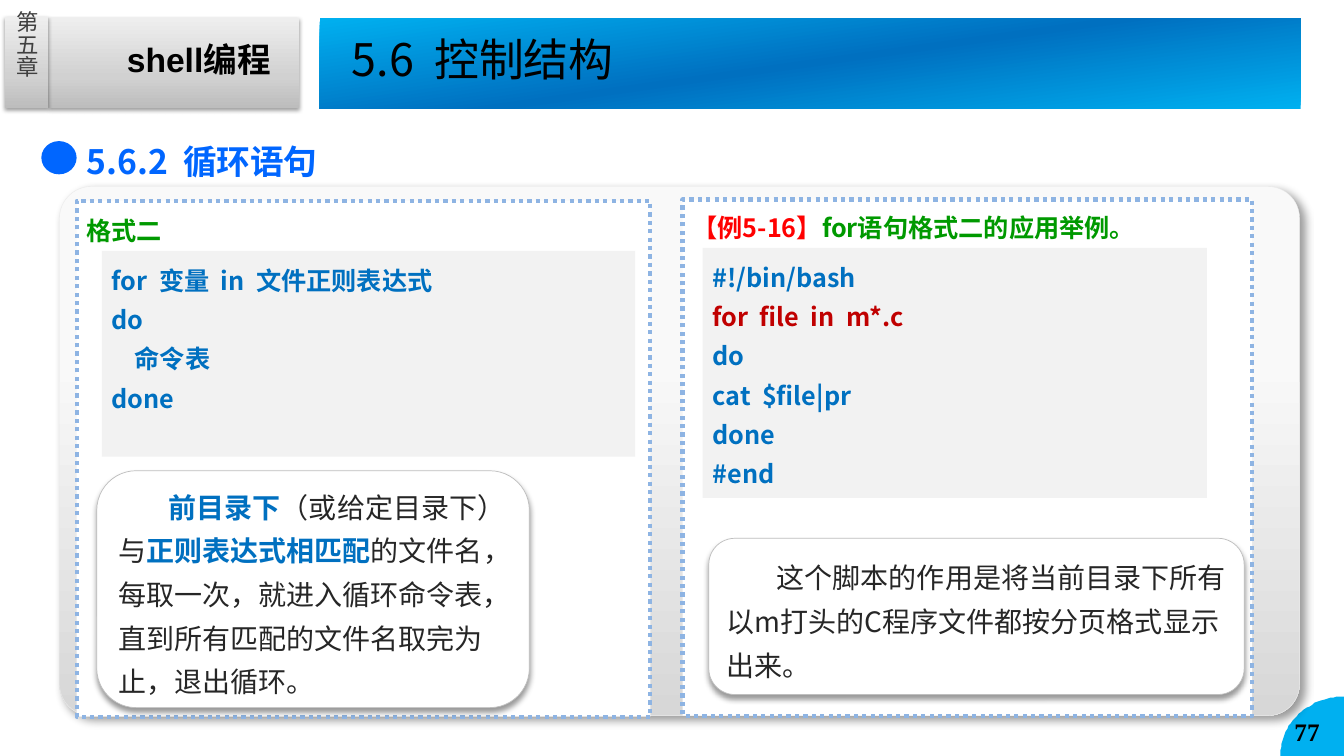
import math
from dataclasses import dataclass

import lxml.etree
import pptx
import pptx.dml.color
import pptx.enum.dml
import pptx.enum.shapes
import pptx.enum.text
import pptx.oxml.ns
import pptx.util

PX = 9144  # 100 px to the inch
WIDTH, HEIGHT = 1333, 750
SHAPE = pptx.enum.shapes.MSO_SHAPE
ANCHOR = pptx.enum.text.MSO_ANCHOR
ALIGN = pptx.enum.text.PP_ALIGN
qn = pptx.oxml.ns.qn


@dataclass(frozen=True)
class Theme:
    sans: str = "Noto Sans CJK SC"
    latin: str = "Arial"
    serif: str = "Times New Roman"
    title_size: int = 32
    heading_size: int = 24
    note_size: int = 20
    code_size: int = 18
    chapter_size: int = 16
    black: str = "000000"
    white: str = "FFFFFF"
    chapter: str = "404040"
    note: str = "262626"
    heading: str = "0066FF"
    code: str = "0070C0"
    code_back: str = "F2F2F2"
    hot_code: str = "C00000"
    example: str = "FF0000"
    caption: str = "009900"
    corner: str = "00B0F0"
    panel_line: str = "8EB4E3"
    note_line: str = "BFBFBF"
    card_line: str = "EAEAEA"
    tab_stops: tuple = ((0, "BDBDBD"), (35, "D1D1D1"), (100, "EEEEEE"))
    banner_stops: tuple = ((0, "00B0F0"), (50, "0070C0"), (100, "00B0F0"))
    card_stops: tuple = ((33, "F9F9F9"), (100, "D7D7D7"))
    # opacity %, blur pt, distance pt, direction
    tab_shadow: tuple = (38, 3.1, 1.6, 90)
    card_shadow: tuple = (40, 6, 5, 45)
    note_shadow: tuple = (40, 4, 3, 90)


THEME = Theme()


def rgb(colour):
    return pptx.dml.color.RGBColor.from_string(colour)


def emu(box):
    return [round(length * PX) for length in box]


def within(box, left, top, width, height):
    return box[0] + left, box[1] + top, width, height


def add_gradient(shape, stops, angle):
    gradient = lxml.etree.Element(qn("a:gradFill"), rotWithShape="1")
    stop_list = lxml.etree.SubElement(gradient, qn("a:gsLst"))
    for position, colour in stops:
        stop = lxml.etree.SubElement(stop_list, qn("a:gs"), pos=str(position * 1000))
        lxml.etree.SubElement(stop, qn("a:srgbClr"), val=colour)
    lxml.etree.SubElement(gradient, qn("a:lin"), ang=str(angle * 60000), scaled="0")
    shape.element.spPr.find(qn("a:prstGeom")).addnext(gradient)


def add_shadow(shape, opacity, blur, distance, direction):
    effects = shape.element.spPr.find(qn("a:effectLst"))
    shadow = lxml.etree.SubElement(
        effects, qn("a:outerShdw"), blurRad=str(round(blur * 12700)),
        dist=str(round(distance * 12700)), dir=str(direction * 60000),
        algn="t" if direction == 90 else "tl", rotWithShape="0")
    colour = lxml.etree.SubElement(shadow, qn("a:srgbClr"), val=THEME.black)
    lxml.etree.SubElement(colour, qn("a:alpha"), val=str(opacity * 1000))


def paint(shape, fill=None, line=None, weight=1, shadow=None):
    shape.shadow.inherit = False
    if fill:
        shape.fill.solid()
        shape.fill.fore_color.rgb = rgb(fill)
    if line:
        shape.line.color.rgb = rgb(line)
        shape.line.width = pptx.util.Pt(weight)
    else:
        shape.line.fill.background()
    if shadow:
        add_shadow(shape, *shadow)
    return shape


def add_block(slide, kind, box, **look):
    return paint(slide.shapes.add_shape(kind, *emu(box)), **look)


def write(paragraph, pieces, size, spacing=None, font=THEME.sans, align=ALIGN.LEFT):
    """Fill a paragraph with (text, colour, bold) pieces."""
    paragraph.alignment = align
    paragraph.line_spacing = spacing
    paragraph.font.size = pptx.util.Pt(size)
    paragraph.font.name = font
    agree = len({piece[1:] for piece in pieces}) == 1
    for text, colour, bold in pieces:
        run = paragraph.add_run()
        run.text = text
        target = paragraph.font if agree else run.font
        target.color.rgb = rgb(colour)
        target.bold = bold


def add_text(slide, box, pieces, size, **layout):
    frame = slide.shapes.add_textbox(*emu(box)).text_frame
    frame.word_wrap = True
    write(frame.paragraphs[0], pieces, size, **layout)
    return frame


def clear_margins(frame):
    frame.margin_left = frame.margin_top = frame.margin_right = frame.margin_bottom = 0


def chapter_tab(slide, box):
    for part in (within(box, 43, 1, 249, 89), within(box, 0, 0, 43, 90)):
        tab = add_block(slide, SHAPE.RECTANGLE, part, shadow=THEME.tab_shadow)
        add_gradient(tab, THEME.tab_stops, 270)
    add_text(slide, within(box, 111, 17, 201, 53), [("shell编程", THEME.black, True)],
             THEME.heading_size, font=THEME.latin)
    number = add_text(slide, within(box, 7, -6, 29, 105), [("第五章", THEME.chapter, False)],
                      THEME.chapter_size, align=ALIGN.CENTER)
    clear_margins(number)
    number.vertical_anchor = ANCHOR.MIDDLE
    number._txBody.bodyPr.set("vert", "eaVert")


def title_banner(slide, box):
    banner = add_block(slide, SHAPE.RECTANGLE, box)
    add_gradient(banner, THEME.banner_stops, 262)
    title = slide.shapes.title
    title.left, title.top, title.width, title.height = emu(within(box, 32, 13, 421, 69))
    frame = title.text_frame
    clear_margins(frame)
    frame.auto_size = pptx.enum.text.MSO_AUTO_SIZE.NONE
    frame.vertical_anchor = ANCHOR.TOP
    write(frame.paragraphs[0], [("5.6  控制结构", THEME.black, False)], THEME.title_size)
    banner.element.addnext(title.element)


def page_corner(slide, box):
    left, top, width, height = box
    right, bottom = left + width, top + height
    arc = [(right - width * math.cos(turn), bottom - height * math.sin(turn))
           for turn in (math.radians(degree) for degree in range(0, 91, 3))]
    outline = slide.shapes.build_freeform(right, bottom, scale=PX)
    outline.add_line_segments(arc)
    paint(outline.convert_to_shape(), fill=THEME.corner)
    add_text(slide, within(box, 4, 15, 59, 40), [("77", THEME.black, True)],
             THEME.code_size, font=THEME.serif)


def section_heading(slide, box):
    add_text(slide, within(box, 35, 0, 385, 58), [("5.6.2  循环语句", THEME.heading, True)],
             THEME.heading_size, spacing=1.2)
    add_block(slide, SHAPE.OVAL, within(box, 0, 13, 35, 33), fill=THEME.heading)


def background_card(slide, box):
    card = add_block(slide, SHAPE.ROUNDED_RECTANGLE, box, line=THEME.card_line,
                     weight=0.25, shadow=THEME.card_shadow)
    card.adjustments[0] = 0.06
    add_gradient(card, THEME.card_stops, 90)


def code_panel(slide, box, caption, caption_box, code, code_box, note, note_box):
    """Dotted panel with a caption, a code block and a rounded note."""
    border = add_block(slide, SHAPE.RECTANGLE, box, fill=THEME.white,
                       line=THEME.panel_line, weight=3)
    border.line.dash_style = pptx.enum.dml.MSO_LINE.ROUND_DOT
    add_text(slide, within(box, *caption_box), caption, THEME.code_size, spacing=1.2)

    listing = add_block(slide, SHAPE.RECTANGLE, within(box, *code_box),
                        fill=THEME.code_back).text_frame
    listing.vertical_anchor = ANCHOR.TOP
    for index, (text, colour) in enumerate(code):
        line = listing.add_paragraph() if index else listing.paragraphs[0]
        write(line, [(text, colour, True)], THEME.code_size, spacing=1.3)

    remark = add_block(slide, SHAPE.ROUNDED_RECTANGLE, within(box, *note_box),
                       fill=THEME.white, line=THEME.note_line, weight=0.5,
                       shadow=THEME.note_shadow).text_frame
    remark.vertical_anchor = ANCHOR.MIDDLE
    paragraph = remark.paragraphs[0]
    paragraph._p.get_or_add_pPr().set("indent", str(50 * PX))
    write(paragraph, note, THEME.note_size, spacing=1.3)


def loop_slide(slide):
    chapter_tab(slide, (5, 17, 292, 90))
    page_corner(slide, (1270, 691, 63, 59))
    title_banner(slide, (317, 18, 973, 90))
    background_card(slide, (59, 185, 1230, 525))
    section_heading(slide, (41, 127, 420, 58))
    code_panel(
        slide, (76, 199, 569, 512),
        [("格式二", THEME.caption, True)], (0, 4, 492, 46),
        [(text, THEME.code) for text in
         ("for  变量  in  文件正则表达式", "do", "    命令表", "done")], (25, 50, 529, 204),
        [("前目录下", THEME.code, True), ("（或给定目录下）与", THEME.note, False),
         ("正则表达式相匹配", THEME.code, True),
         ("的文件名，每取一次，就进入循环命令表，直到所有匹配的文件名取完为止，退出循环。",
          THEME.note, False)], (20, 268, 429, 235))
    code_panel(
        slide, (677, 198, 565, 512),
        [("【例5-16】", THEME.example, True),
         ("for语句格式二的应用举例。", THEME.caption, True)], (0, 2, 496, 46),
        [(text, THEME.hot_code if text.startswith("for") else THEME.code) for text in
         ("#!/bin/bash", "for  file  in  m*.c", "do", "cat  $file|pr", "done", "#end")],
        (20, 48, 500, 248),
        [("这个脚本的作用是将当前目录下所有以m打头的C程序文件都按分页格式显示出来。",
          THEME.note, False)], (26, 336, 531, 155))
    for latin in list(slide.element.iter(qn("a:latin"))):
        latin.addnext(lxml.etree.Element(qn("a:ea"), typeface=THEME.sans))


def main():
    deck = pptx.Presentation()
    deck.slide_width, deck.slide_height = emu((WIDTH, HEIGHT))
    loop_slide(deck.slides.add_slide(deck.slide_layouts[5]))
    deck.save("out.pptx")


if __name__ == "__main__":
    main()
